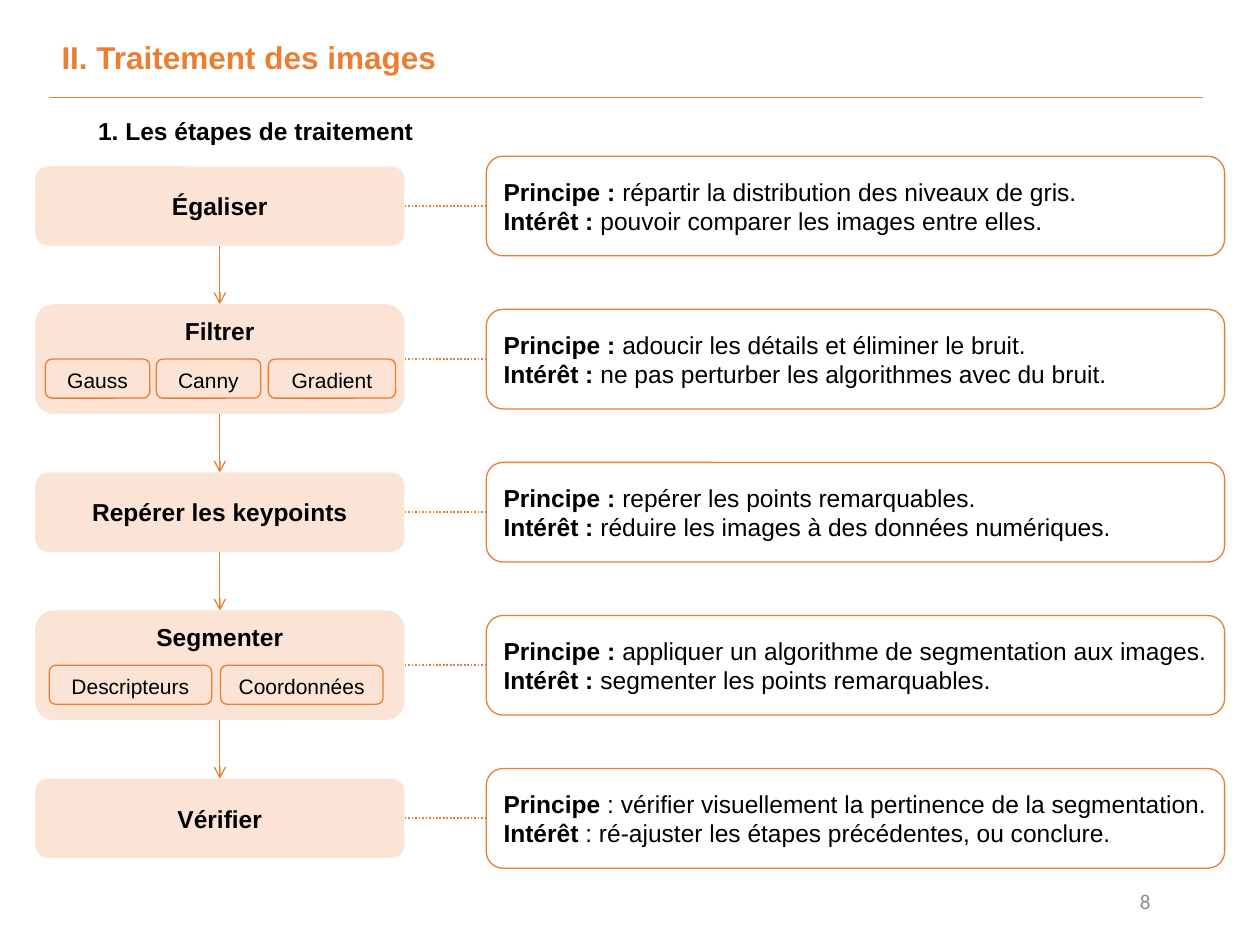
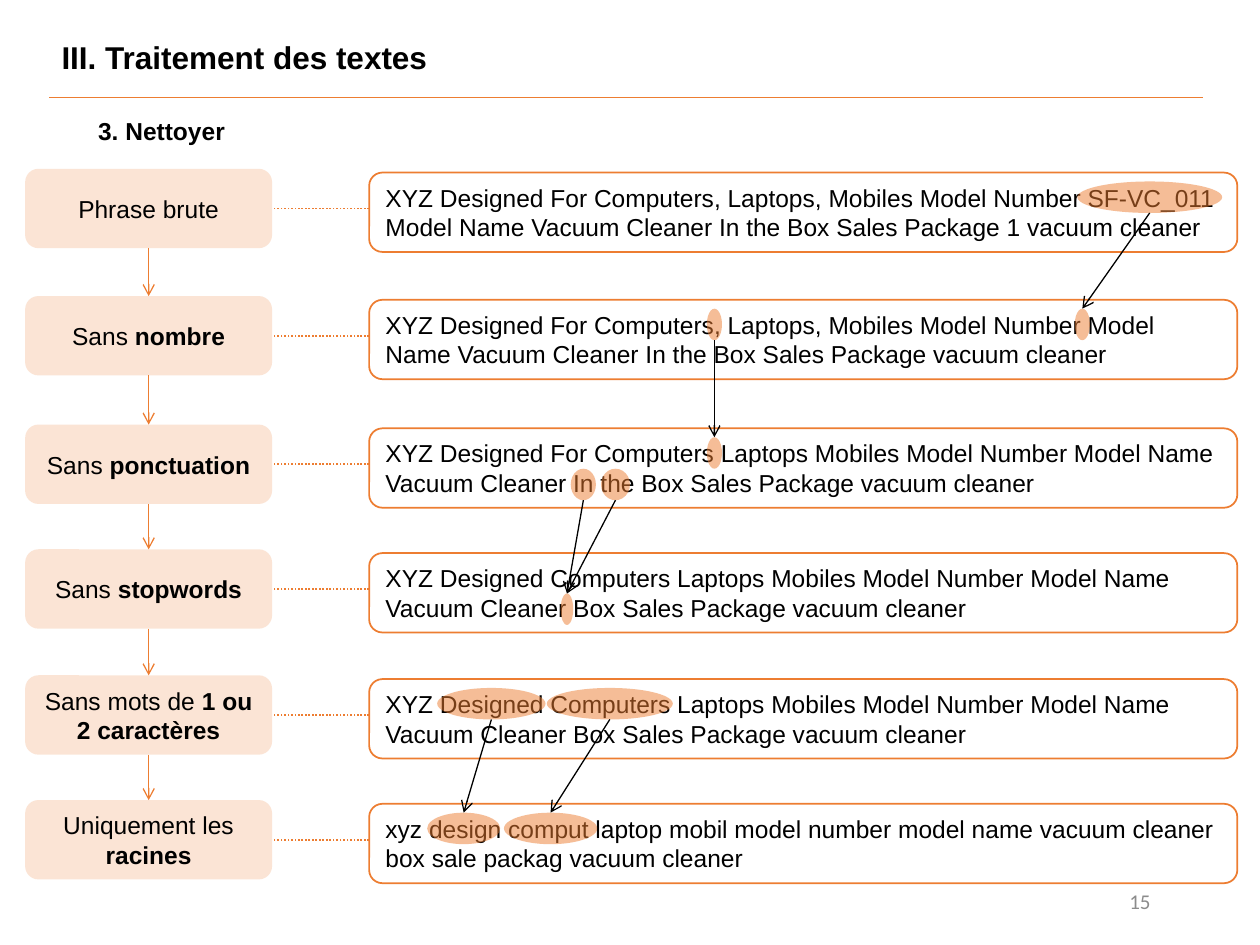
"""Build two process slides: the image processing steps and the text cleaning steps."""
from dataclasses import dataclass

from lxml.etree import SubElement
from pptx import Presentation
from pptx.dml.color import RGBColor
from pptx.enum.dml import MSO_LINE_DASH_STYLE as Dash
from pptx.enum.shapes import MSO_CONNECTOR as Connector, MSO_SHAPE as Shape
from pptx.enum.text import MSO_ANCHOR as Anchor, PP_ALIGN as Align
from pptx.oxml.ns import qn
from pptx.util import Inches, Pt

IMAGE_SLIDE = {
    "title": "II. Traitement des images", "title_color": "ED7D31",
    "subtitle": "1. Les étapes de traitement", "page": "8",
}
IMAGE_STEPS = [
    ("*Égaliser*", [],
     ["*Principe : *répartir la distribution des niveaux de gris.",
      "*Intérêt : *pouvoir comparer les images entre elles."]),
    ("*Filtrer*", [("Gauss", 0.36, 0.83), ("Canny", 1.24, 0.83), ("Gradient", 2.13, 1.01)],
     ["*Principe : *adoucir les détails et éliminer le bruit.",
      "*Intérêt : *ne pas perturber les algorithmes avec du bruit."]),
    ("*Repérer les keypoints*", [],
     ["*Principe : *repérer les points remarquables.",
      "*Intérêt : *réduire les images à des données numériques."]),
    ("*Segmenter*", [("Descripteurs", 0.39, 1.29), ("Coordonnées", 1.75, 1.29)],
     ["*Principe : *appliquer un algorithme de segmentation aux images.",
      "*Intérêt : *segmenter les points remarquables."]),
    ("*Vérifier*", [],
     ["*Principe* : vérifier visuellement la pertinence de la segmentation.",
      "*Intérêt* : ré-ajuster les étapes précédentes, ou conclure."]),
]

TEXT_SLIDE = {
    "title": "III. Traitement des textes", "title_color": "000000",
    "subtitle": "3. Nettoyer", "page": "15",
}
TEXT_STEPS = [
    (1.34, "Phrase brute",
     "XYZ Designed For Computers, Laptops, Mobiles Model Number SF-VC_011 Model Name "
     "Vacuum Cleaner In the Box Sales Package 1 vacuum cleaner"),
    (2.35, "Sans *nombre*",
     "XYZ Designed For Computers, Laptops, Mobiles Model Number Model Name "
     "Vacuum Cleaner In the Box Sales Package vacuum cleaner"),
    (3.37, "Sans *ponctuation*",
     "XYZ Designed For Computers Laptops Mobiles Model Number Model Name "
     "Vacuum Cleaner In the Box Sales Package vacuum cleaner"),
    (4.36, "Sans *stopwords*",
     "XYZ Designed Computers Laptops Mobiles Model Number Model Name "
     "Vacuum Cleaner Box Sales Package vacuum cleaner"),
    (5.36, "Sans mots de *1 ou 2 caractères*",
     "XYZ Designed Computers Laptops Mobiles Model Number Model Name "
     "Vacuum Cleaner Box Sales Package vacuum cleaner"),
    (6.35, "Uniquement les *racines*",
     "xyz design comput laptop mobil model number model name vacuum cleaner "
     "box sale packag vacuum cleaner"),
]
# name: (step row, text line, left, width)
HIGHLIGHTS = {
    "number": (0, 0, 8.55, 1.15), "number removed": (1, 0, 8.53, 0.12),
    "comma": (1, 0, 5.61, 0.12), "comma removed": (2, 0, 5.61, 0.12),
    "in": (2, 1, 4.53, 0.2), "the": (2, 1, 4.77, 0.23),
    "stopwords removed": (3, 1, 4.45, 0.1),
    "designed": (4, 0, 3.47, 0.86), "design": (5, 0, 3.39, 0.58),
    "computers": (4, 0, 4.34, 1), "comput": (5, 0, 4, 0.74),
}
CHANGES = [
    ("number", "number removed"), ("comma", "comma removed"),
    ("in", "stopwords removed"), ("the", "stopwords removed"),
    ("designed", "design"), ("computers", "comput"),
]


@dataclass(frozen=True)
class Theme:
    accent: str = "ED7D31"
    step: str = "F8CBAD"
    ink: str = "000000"
    paper: str = "FFFFFF"
    page: str = "8C8C8C"
    font: str = "Arial"
    page_font: str = "Calibri"
    title_size: int = 18
    body_size: int = 14
    small_size: int = 12


THEME = Theme()
STEP_HEIGHT, TALL_STEP_HEIGHT = 0.63, 0.87


def write(shape, lines, size=THEME.body_size, color=THEME.ink, font=THEME.font,
          align=Align.LEFT, anchor=Anchor.TOP, wrap=True):
    """Fill a shape with lines in which asterisks enclose bold text."""
    frame = shape.text_frame
    frame.word_wrap, frame.vertical_anchor = wrap, anchor
    for index, line in enumerate(lines):
        paragraph = frame.paragraphs[0] if index == 0 else frame.add_paragraph()
        paragraph.alignment = align
        paragraph.font.size, paragraph.font.name = Pt(size), font
        paragraph.font.color.rgb = RGBColor.from_string(color)
        pieces = [(text, number % 2 == 1) for number, text in enumerate(line.split("*")) if text]
        if len(pieces) == 1:
            paragraph.font.bold = pieces[0][1]
        for text, bold in pieces:
            run = paragraph.add_run()
            run.text = text
            if len(pieces) > 1:
                run.font.bold = bold


def add_text(slide, box, line, **style):
    write(slide.shapes.add_textbox(*map(Inches, box)), [line], **style)


def add_box(slide, box, kind=Shape.ROUNDED_RECTANGLE, fill=None, alpha=100, line_width=None):
    shape = slide.shapes.add_shape(kind, *map(Inches, box))
    shape.shadow.inherit = False
    if fill:
        shape.fill.solid()
        shape.fill.fore_color.rgb = RGBColor.from_string(fill)
        if alpha < 100:
            color = shape.fill._xPr.find(qn("a:solidFill"))[0]
            SubElement(color, qn("a:alpha"), val=str(alpha * 1000))
    else:
        shape.fill.background()
    if line_width:
        shape.line.color.rgb = RGBColor.from_string(THEME.accent)
        shape.line.width = Pt(line_width)
    else:
        shape.line.fill.background()
    return shape


def add_line(slide, start, end, width=0.75, color=THEME.accent, dash=None, arrow=False):
    line = slide.shapes.add_connector(Connector.STRAIGHT, *map(Inches, (*start, *end)))
    line.line.color.rgb = RGBColor.from_string(color)
    line.line.width = Pt(width)
    if dash:
        line.line.dash_style = dash
    if arrow:
        SubElement(line.line._get_or_add_ln(), qn("a:tailEnd"), type="arrow")
    SubElement(line._element.spPr, qn("a:effectLst"))
    return line


def add_step(slide, box, label, anchor=Anchor.MIDDLE):
    step = add_box(slide, box, fill=THEME.step, alpha=50)
    write(step, [label], align=Align.CENTER, anchor=anchor)
    return step


def link_steps(slide, steps):
    for upper, lower in zip(steps, steps[1:]):
        arrow = add_line(slide, (0, 0), (0, 0), arrow=True)
        arrow.begin_connect(upper, 2)
        arrow.end_connect(lower, 0)


def add_base(presentation, content):
    slide = presentation.slides.add_slide(presentation.slide_layouts[6])
    add_text(slide, (0.39, 0.25, 3.2, 0.4), f"*{content['title']}*",
             size=THEME.title_size, color=content["title_color"], wrap=False)
    add_line(slide, (0.39, 0.77), (9.55, 0.77), width=0.5)
    add_text(slide, (0.68, 0.87, 2.71, 0.34), f"*{content['subtitle']}*", wrap=False)
    add_text(slide, (6.98, 6.95, 2.25, 0.4), content["page"], size=THEME.small_size,
             color=THEME.page, font=THEME.page_font, align=Align.RIGHT, anchor=Anchor.MIDDLE)
    return slide


def build_image_slide(presentation):
    slide = add_base(presentation, IMAGE_SLIDE)
    left, top, width, gap = 0.28, 1.32, 2.93, 0.465
    note_left, note_width, note_height = 3.86, 5.86, 0.79
    steps = []
    for label, parts, note_lines in IMAGE_STEPS:
        height = TALL_STEP_HEIGHT if parts else STEP_HEIGHT
        middle = top + height / 2
        step = add_step(slide, (left, top, width, height), label,
                        Anchor.TOP if parts else Anchor.MIDDLE)
        note = add_box(slide, (note_left, middle - note_height / 2, note_width, note_height),
                       line_width=0.75)
        write(note, note_lines, anchor=Anchor.MIDDLE)
        link = add_line(slide, (0, 0), (0, 0), width=1, dash=Dash.ROUND_DOT)
        link.begin_connect(note, 1)
        link.end_connect(step, 3)
        for name, part_left, part_width in parts:
            part = add_box(slide, (part_left, middle, part_width, 0.31), line_width=0.75)
            write(part, [name], size=THEME.small_size, align=Align.CENTER)
        steps.append(step)
        top += height + gap
    link_steps(slide, steps)


def build_text_slide(presentation):
    slide = add_base(presentation, TEXT_SLIDE)
    left, width, note_left, note_width, note_drop = 0.2, 1.96, 2.93, 6.89, 0.03
    steps = []
    for top, label, sentence in TEXT_STEPS:
        step = add_step(slide, (left, top, width, STEP_HEIGHT), label)
        middle = top + STEP_HEIGHT / 2
        link = add_line(slide, (note_left, middle), (left + width, middle),
                        width=1, dash=Dash.ROUND_DOT)
        link.end_connect(step, 3)
        note = add_box(slide, (note_left, top + note_drop, note_width, STEP_HEIGHT),
                       fill=THEME.paper, line_width=1)
        write(note, [sentence])
        steps.append(step)
    link_steps(slide, steps)

    height, first_line, line_pitch = 0.25, 0.1, 0.25
    marks = {}
    for name, (row, line, mark_left, mark_width) in HIGHLIGHTS.items():
        mark_top = TEXT_STEPS[row][0] + first_line + line * line_pitch
        marks[name] = add_box(slide, (mark_left, mark_top, mark_width, height),
                              kind=Shape.OVAL, fill=THEME.accent, alpha=50)
    for before, after in CHANGES:
        source = marks[before]
        start = ((source.left + source.width / 2) / Inches(1),
                 (source.top + source.height) / Inches(1))
        arrow = add_line(slide, start, start, color=THEME.ink, arrow=True)
        arrow.end_connect(marks[after], 0)


def main():
    presentation = Presentation()
    presentation.slide_width, presentation.slide_height = Inches(10), Inches(7.5)
    build_image_slide(presentation)
    build_text_slide(presentation)
    presentation.save("out.pptx")


if __name__ == "__main__":
    main()
